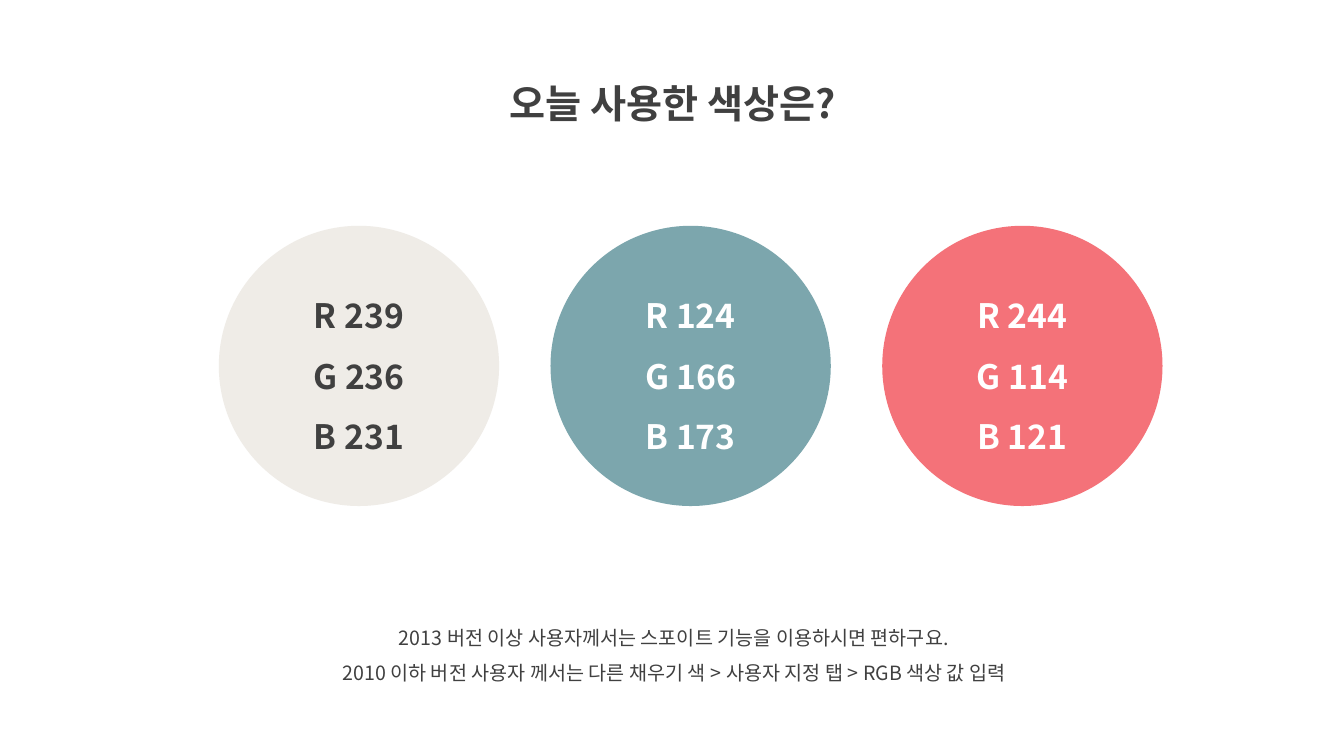
from lxml.etree import SubElement
from pptx import Presentation
from pptx.dml.color import RGBColor
from pptx.enum.shapes import MSO_SHAPE
from pptx.enum.text import MSO_ANCHOR, MSO_AUTO_SIZE, PP_ALIGN
from pptx.oxml.ns import qn
from pptx.util import Inches

FONT = "Noto Sans CJK KR"
COLORS = {"dark": "404040", "white": "FFFFFF"}
TITLE = ["오늘 사용한 색상은?"]
NOTES = [
    "2013 버전 이상 사용자께서는 스포이트 기능을 이용하시면 편하구요.",
    "2010 이하 버전 사용자 께서는 다른 채우기 색 > 사용자 지정 탭 > RGB 색상 값 입력",
]
SWATCHES = [  # red, green, blue, text colour
    ((239, 236, 231), "dark"),
    ((124, 166, 173), "white"),
    ((244, 114, 121), "white"),
]

WIDTH, HEIGHT = 13.33, 7.5
DIAMETER, PITCH = 2.78, 3.29
FIRST_LEFT, CIRCLE_TOP = 2.17, 2.24


def write(tf, lines, size, color="dark", bold=False):
    tf.word_wrap = True
    for i, line in enumerate(lines):
        p = tf.add_paragraph() if i else tf.paragraphs[0]
        p.text = line
        p.alignment = PP_ALIGN.CENTER
        p.line_spacing = 1.5
        font = p.font
        font.size = Inches(size / 72)
        font.bold = bold
        font.name = FONT
        font.color.rgb = RGBColor.from_string(COLORS[color])
        # Hangul takes the East Asian typeface
        SubElement(p._p.pPr.find(qn("a:defRPr")), qn("a:ea"), typeface=FONT)


def add_text(slide, box, lines, size, bold=False):
    tf = slide.shapes.add_textbox(*map(Inches, box)).text_frame
    write(tf, lines, size, bold=bold)
    tf.auto_size = MSO_AUTO_SIZE.SHAPE_TO_FIT_TEXT


def add_swatch(slide, column, rgb, color):
    left = FIRST_LEFT + column * PITCH
    box = (left, CIRCLE_TOP, DIAMETER, DIAMETER)
    sp = slide.shapes.add_shape(MSO_SHAPE.OVAL, *map(Inches, box))
    sp.shadow.inherit = False
    sp.fill.solid()
    sp.fill.fore_color.rgb = RGBColor(*rgb)
    sp.line.fill.background()
    sp.text_frame.vertical_anchor = MSO_ANCHOR.MIDDLE
    lines = [f"{channel} {value}" for channel, value in zip("RGB", rgb)]
    write(sp.text_frame, lines, 24, color, bold=True)


def main():
    prs = Presentation()
    prs.slide_width, prs.slide_height = Inches(WIDTH), Inches(HEIGHT)
    slide = prs.slides.add_slide(prs.slide_layouts[6])
    add_text(slide, (4.36, 0.5, 4.63, 0.72), TITLE, 28, bold=True)
    add_text(slide, (2.69, 6.04, 7.99, 0.81), NOTES, 14)
    for column, (rgb, color) in enumerate(SWATCHES):
        add_swatch(slide, column, rgb, color)
    prs.save("out.pptx")


if __name__ == "__main__":
    main()
